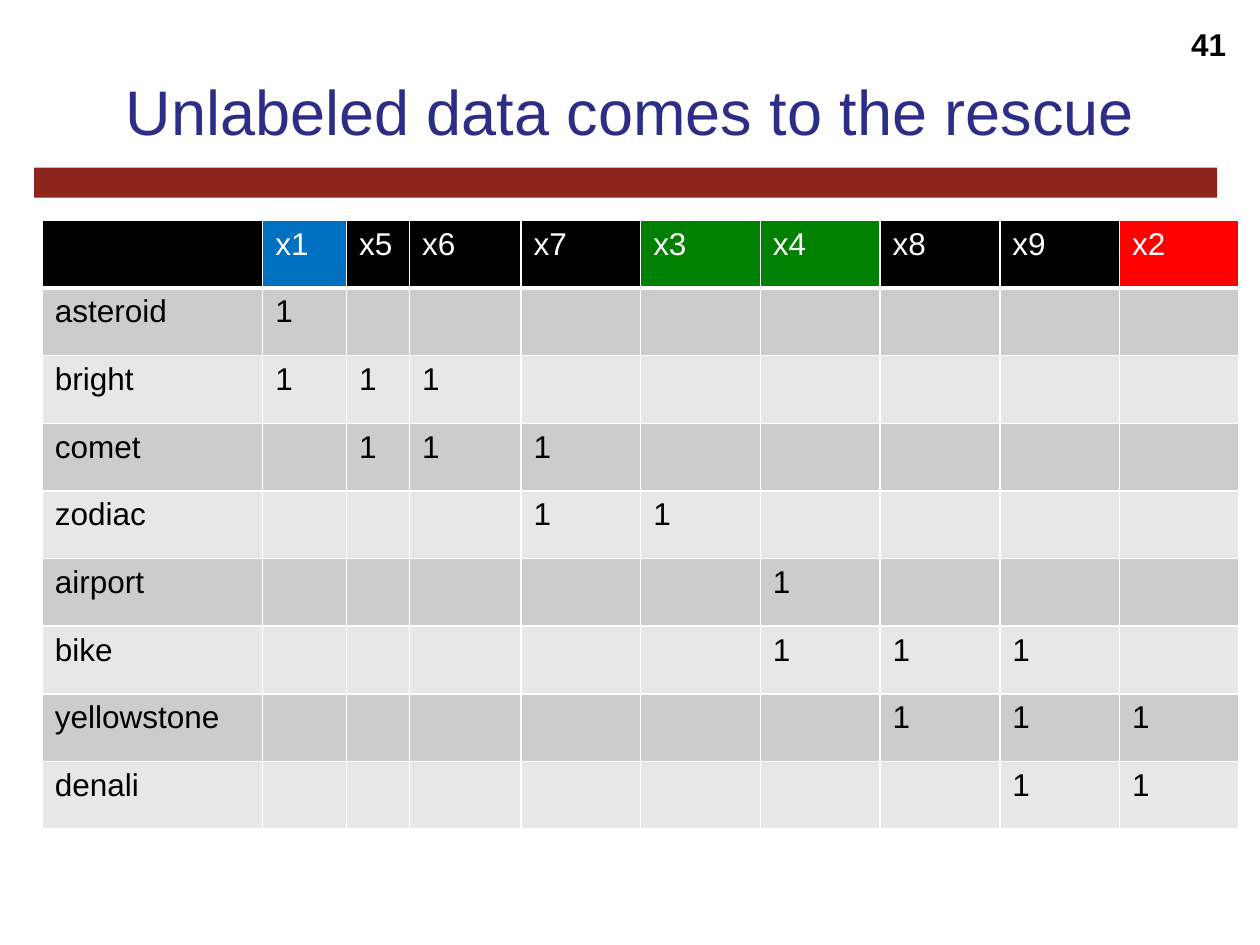
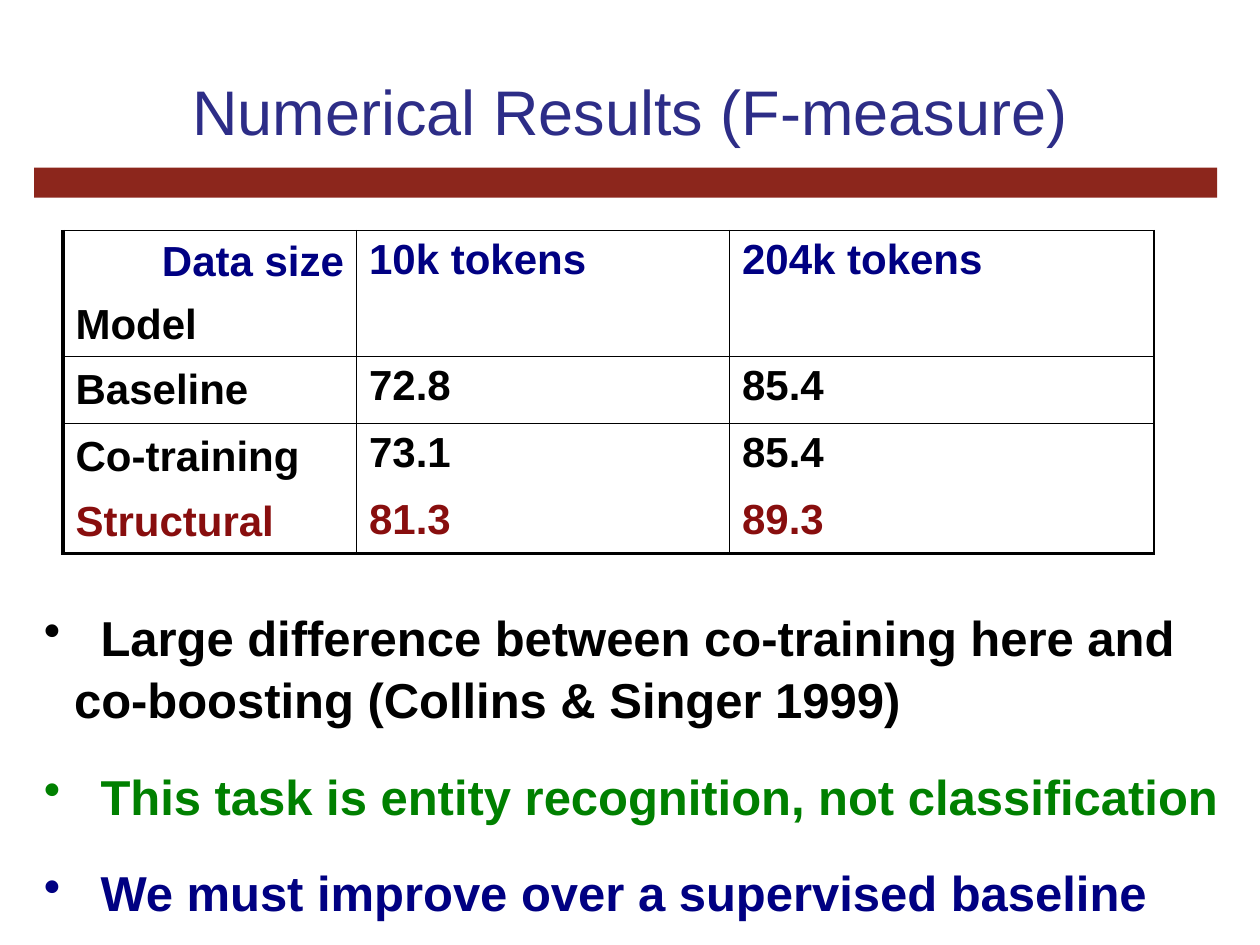
from lxml import etree
from pptx import Presentation
from pptx.dml.color import RGBColor
from pptx.enum.shapes import MSO_SHAPE
from pptx.enum.text import MSO_ANCHOR, PP_ALIGN
from pptx.oxml.ns import qn
from pptx.util import Emu, Inches, Pt

RECTANGLE = MSO_SHAPE.RECTANGLE
TOP, MIDDLE = MSO_ANCHOR.TOP, MSO_ANCHOR.MIDDLE
LEFT, CENTER, RIGHT = PP_ALIGN.LEFT, PP_ALIGN.CENTER, PP_ALIGN.RIGHT

FONT = "Arial"
BLACK, WHITE = "000000", "FFFFFF"
TITLE_BLUE, NAVY = "2D2D87", "000082"
BAND_RED, DARK_RED, RED = "8C261C", "880E0E", "FF0000"
BLUE, GREEN = "0070C0", "008000"
ROW_GRAYS = ("E7E7E7", "CCCCCC")
PLAIN_TABLE_STYLE = "{2D5ABB26-0587-4C30-8999-92F81FD0307C}"

GRID_COLUMNS, GRID_ROWS = 100, 75


def rgb(color):
    return RGBColor.from_string(color)


class Deck:
    """Holds the shared style and the slide being built."""

    def __init__(self):
        self.presentation = Presentation()
        self.presentation.slide_width = Inches(10)
        self.presentation.slide_height = Inches(7.5)
        self.slide = None

    def columns(self, count):
        return Emu(round(self.presentation.slide_width * count / GRID_COLUMNS))

    def rows(self, count):
        return Emu(round(self.presentation.slide_height * count / GRID_ROWS))

    def place(self, left, top, width, height):
        return (self.columns(left), self.rows(top),
                self.columns(width), self.rows(height))

    def new_slide(self, title):
        layout = self.presentation.slide_layouts[6]
        self.slide = self.presentation.slides.add_slide(layout)
        band = self.slide.shapes.add_shape(
            RECTANGLE, *self.place(2.7, 13.3, 93.9, 2.4))
        band.shadow.inherit = False
        band.fill.solid()
        band.fill.fore_color.rgb = rgb(BAND_RED)
        band.line.fill.background()
        self.text((5, 2.5, 90, 12.5), title, 36, TITLE_BLUE,
                  align=CENTER, anchor=MIDDLE)

    def format(self, paragraph, size, color, bold=False, align=LEFT):
        paragraph.alignment = align
        for run in paragraph.runs:
            run.font.name = FONT
            run.font.size = Pt(size)
            run.font.bold = bold
            run.font.color.rgb = rgb(color)

    def text_frame(self, box, anchor=TOP):
        frame = self.slide.shapes.add_textbox(*self.place(*box)).text_frame
        frame.word_wrap = True
        frame.vertical_anchor = anchor
        return frame

    def text(self, box, words, size, color, bold=False, align=LEFT, anchor=TOP):
        frame = self.text_frame(box, anchor)
        frame.text = words
        self.format(frame.paragraphs[0], size, color, bold, align)

    def bullets(self, box, items, size):
        frame = self.text_frame(box)
        for index, (words, color) in enumerate(items):
            paragraph = frame.add_paragraph() if index else frame.paragraphs[0]
            paragraph.text = "\t" + words
            # Wrapped lines start left of the tabbed first line
            properties = paragraph._p.get_or_add_pPr()
            properties.set("marL", str(self.columns(2.4)))
            properties.set("indent", str(-self.columns(2.4)))
            paragraph.line_spacing = 1.05
            if index:
                paragraph.space_before = Pt(20)
            etree.SubElement(properties, qn("a:buChar"), char="•")
            tabs = etree.SubElement(properties, qn("a:tabLst"))
            etree.SubElement(tabs, qn("a:tab"),
                             pos=str(self.columns(4.5)), algn="l")
            self.format(paragraph, size, color, bold=True)

    def table(self, left, top, widths, heights):
        box = self.place(left, top, sum(widths), sum(heights))
        table = self.slide.shapes.add_table(
            len(heights), len(widths), *box).table
        table.first_row = table.horz_banding = False
        table._tbl.tblPr.find(qn("a:tableStyleId")).text = PLAIN_TABLE_STYLE
        for column, width in zip(table.columns, widths):
            column.width = self.columns(width)
        for row, height in zip(table.rows, heights):
            row.height = self.rows(height)
        return table

    def cell(self, cell, words, size, color, fill=None, bold=False,
             align=LEFT, anchor=TOP):
        if words:
            cell.text_frame.text = words
            self.format(cell.text_frame.paragraphs[0], size, color, bold, align)
        cell.vertical_anchor = anchor
        if fill:
            cell.fill.solid()
            cell.fill.fore_color.rgb = rgb(fill)
        else:
            cell.fill.background()

    def borders(self, cell, color, **widths):
        """Draw the sides L, R, T, B that have a width in points."""
        properties = cell._tc.get_or_add_tcPr()
        sides = [side for side in "LRTB" if side in widths]
        for index, side in enumerate(sides):
            line = etree.Element(qn("a:ln" + side), w=str(Pt(widths[side])))
            fill = etree.SubElement(line, qn("a:solidFill"))
            etree.SubElement(fill, qn("a:srgbClr"), val=color)
            properties.insert(index, line)


def word_feature_slide(deck):
    deck.new_slide("Unlabeled data comes to the rescue")
    deck.text((85, 1.5, 13.3, 5.2), "41", 18, BLACK, bold=True, align=RIGHT)

    examples = ["x1", "x5", "x6", "x7", "x3", "x4", "x8", "x9", "x2"]
    header_fills = {"x1": BLUE, "x3": GREEN, "x4": GREEN, "x2": RED}
    occurrences = {
        "asteroid": ["x1"],
        "bright": ["x1", "x5", "x6"],
        "comet": ["x5", "x6", "x7"],
        "zodiac": ["x7", "x3"],
        "airport": ["x4"],
        "bike": ["x4", "x8", "x9"],
        "yellowstone": ["x8", "x9", "x2"],
        "denali": ["x9", "x2"],
    }
    table = deck.table(3.35, 17.5, [17.5, 6.65, 5, 8.85] + [9.5] * 6,
                       [5.37] * (len(occurrences) + 1))

    # Header row
    for column, example in enumerate([""] + examples):
        cell = table.cell(0, column)
        deck.cell(cell, example, 18, WHITE, header_fills.get(example, BLACK))
        deck.borders(cell, WHITE, L=1, R=1, T=1, B=3)

    # One row for each word
    for row, (word, found_in) in enumerate(occurrences.items(), 1):
        marks = ["1" if example in found_in else "" for example in examples]
        for column, words in enumerate([word] + marks):
            cell = table.cell(row, column)
            deck.cell(cell, words, 18, BLACK, ROW_GRAYS[row % 2])
            deck.borders(cell, WHITE, L=1, R=1, T=1, B=1)


def results_slide(deck):
    deck.new_slide("Numerical Results (F-measure)")
    results = [
        ("Data size", "10k tokens", "204k tokens"),
        ("Model", "", ""),
        ("Baseline", "72.8", "85.4"),
        ("Co-training", "73.1", "85.4"),
        ("Structural", "81.3", "89.3"),
    ]
    row_colors = [NAVY, BLACK, BLACK, BLACK, DARK_RED]
    table = deck.table(5, 18.3, [23.3, 29.6, 33.7], [4.7, 4.7, 5.3, 5.3, 5])
    for column in (1, 2):
        table.cell(0, column).merge(table.cell(1, column))

    # Rules run around the header, between columns and around the table
    bottom_rules = {1: 1, 4: 2.25}
    for row, (values, color) in enumerate(zip(results, row_colors)):
        for column, words in enumerate(values):
            cell = table.cell(row, column)
            deck.cell(cell, words, 24, color, bold=True,
                      align=RIGHT if words == "Data size" else LEFT,
                      anchor=TOP if column else MIDDLE)
            sides = {"L": 1 if column else 2.25, "R": 1}
            if row in (0, 2):
                sides["T"] = 1
            if row in bottom_rules:
                sides["B"] = bottom_rules[row]
            elif cell.is_merge_origin:
                sides["B"] = 1
            deck.borders(cell, BLACK, **sides)

    deck.bullets((2.5, 47.5, 96.7, 25.5), [
        ("Large difference between co-training here and "
         "co-boosting (Collins & Singer 1999)", BLACK),
        ("This task is entity recognition, not classification", GREEN),
        ("We must improve over a supervised baseline", NAVY),
    ], 28)


def main():
    deck = Deck()
    word_feature_slide(deck)
    results_slide(deck)
    deck.presentation.save("out.pptx")


if __name__ == "__main__":
    main()
